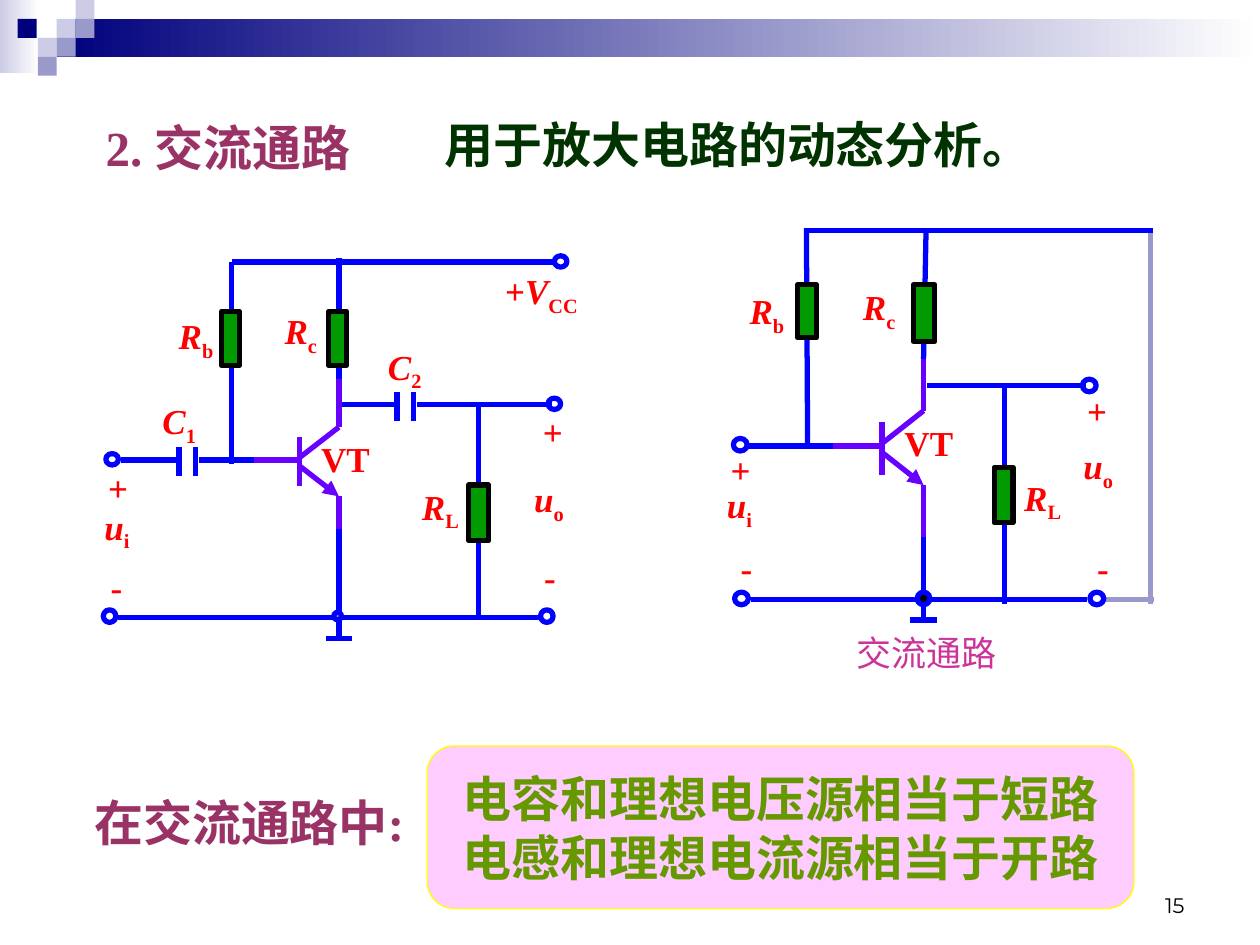
"""Build a slide comparing an amplifier circuit with its AC equivalent."""
from lxml import etree
from pptx import Presentation
from pptx.dml.color import RGBColor
from pptx.enum.shapes import MSO_CONNECTOR, MSO_SHAPE
from pptx.enum.text import MSO_ANCHOR, PP_ALIGN
from pptx.oxml.ns import qn
from pptx.util import Pt

SCALE = 9144
RECT, ROUND, OVAL = MSO_SHAPE.RECTANGLE, MSO_SHAPE.ROUNDED_RECTANGLE, MSO_SHAPE.OVAL
STRAIGHT = MSO_CONNECTOR.STRAIGHT
LEFT, CENTER, RIGHT = PP_ALIGN.LEFT, PP_ALIGN.CENTER, PP_ALIGN.RIGHT
TOP, MIDDLE, BOTTOM = MSO_ANCHOR.TOP, MSO_ANCHOR.MIDDLE, MSO_ANCHOR.BOTTOM
COLORS = {
    "navy": "00007D", "pale": "CCCCE6", "lilac": "9999CC", "white": "FFFFFF",
    "black": "000000", "wire": "0000FF", "device": "6600FF", "resistor": "009900",
    "label": "FF0000", "heading": "993366", "purpose": "003300", "caption": "CC3399",
    "panel": "FFCCFF", "border": "FFFF00", "rule": "669900",
}
SERIF = "Times New Roman"
HEAD = {"name": SERIF, "size": Pt(28), "bold": True}
LABEL = {"name": SERIF, "size": Pt(20), "bold": True}
CAPTION = {"name": SERIF, "size": Pt(20)}
NUMBER = {"name": "Montserrat", "size": Pt(12)}


def rgb(name):
    return RGBColor.from_string(COLORS[name])


class Canvas:
    """Holds the current slide and draws styled elements on it."""

    def __init__(self, s):
        self.s = s

    def shape(self, kind, box, fill=None, line=None, width=3):
        sp = self.s.shapes.add_shape(kind, *(v * SCALE for v in box))
        sp.shadow.inherit = False
        if fill:
            sp.fill.solid()
            sp.fill.fore_color.rgb = rgb(fill)
        else:
            sp.fill.background()
        if line:
            sp.line.color.rgb = rgb(line)
            sp.line.width = Pt(width)
        else:
            sp.line.fill.background()
        return sp

    def fade(self, box, start):
        sp = self.shape(RECT, box)
        sp.fill.gradient()
        sp.fill.gradient_angle = 0
        for stop, color in zip(sp.fill.gradient_stops, (start, "white")):
            stop.color.rgb = rgb(color)

    def line(self, x1, y1, x2, y2, color="wire", arrow=False):
        cn = self.s.shapes.add_connector(STRAIGHT, *(v * SCALE for v in (x1, y1, x2, y2)))
        cn.line.color.rgb = rgb(color)
        cn.line.width = Pt(3)
        if arrow:
            etree.SubElement(cn.line._get_or_add_ln(), qn("a:tailEnd"), type="triangle")
        etree.SubElement(cn._element.spPr, qn("a:effectLst"))

    def run(self, p, text, fmt, color, sub=False):
        r = p.add_run()
        r.text = text
        for key, value in fmt.items():
            setattr(r.font, key, value)
        r.font.color.rgb = rgb(color)
        if sub:
            r._r.get_or_add_rPr().set("baseline", "-25000")

    def fill_text(self, sp, lines, fmt, color, align=LEFT, anchor=TOP, wrap=True):
        tf = sp.text_frame
        tf.word_wrap = wrap
        tf.vertical_anchor = anchor
        for i, text in enumerate(lines):
            p = tf.add_paragraph() if i else tf.paragraphs[0]
            p.alignment = align
            self.run(p, text, fmt, color)

    def text(self, box, text, fmt, color, **layout):
        sp = self.s.shapes.add_textbox(*(v * SCALE for v in box))
        self.fill_text(sp, [text], fmt, color, **layout)

    def label(self, x, y, w, plain="", var="", sub=""):
        box = (x, y, w, 48 if sub else 44)
        sp = self.s.shapes.add_textbox(*(v * SCALE for v in box))
        tf = sp.text_frame
        tf.word_wrap = True
        p = tf.paragraphs[0]
        for text, italic, low in ((plain, False, False), (var, True, False), (sub, False, True)):
            if text:
                self.run(p, text, {**LABEL, "italic": italic}, "label", low)

    def resistor(self, *box):
        self.shape(RECT, box, "resistor", "black")

    def terminal(self, x, y, w=10, h=10, fill=None):
        self.shape(OVAL, (x, y, w, h), fill, "wire")

    def capacitor(self, x, y):
        for plate in (x, x + 13):
            self.line(plate, y, plate, y + 23)

    def transistor(self, x, y, k=1.0):
        parts = ((31, 29, 31, 67), (0, -18, 0, 21), (0, -2, 31, -26),
                 (31, -26, 31, -64), (0, 5, 31, 29), (0, 0, -39, 0))
        for i, (x1, y1, x2, y2) in enumerate(parts):
            self.line(x + round(x1 * k), y + round(y1 * k),
                      x + round(x2 * k), y + round(y2 * k), "device", arrow=i == 4)


def draw_banner(c):
    c.fade((0, 0, 31, 58), "pale")
    c.fade((45, 15, 955, 30), "navy")
    for x, y, color in ((45, 15, "pale"), (60, 0, "pale"), (60, 15, "lilac"),
                        (30, 30, "pale"), (14, 15, "navy"), (45, 30, "lilac"),
                        (30, 45, "lilac")):
        c.shape(RECT, (x, y, 15, 15), color)


def draw_text(c):
    c.text((717, 683, 233, 50), "15", NUMBER, "black", align=RIGHT, anchor=BOTTOM)
    panel = c.shape(ROUND, (339, 592, 561, 129), "panel", "border", 0.75)
    c.fill_text(panel, ["电容和理想电压源相当于短路", "电感和理想电流源相当于开路"],
                HEAD, "rule", align=CENTER, anchor=MIDDLE, wrap=False)
    c.text((74, 88, 263, 57), "2. 交流通路", HEAD, "heading")
    c.text((343, 86, 512, 57), "用于放大电路的动态分析。", HEAD, "purpose")
    c.text((65, 624, 273, 57), "在交流通路中:", HEAD, "heading")
    c.text((670, 496, 179, 44), "交流通路", CAPTION, "caption")


def draw_amplifier(c):
    for wire in ((380, 321, 380, 491), (184, 208, 184, 368), (269, 303, 269, 205),
                 (331, 321, 438, 321), (271, 321, 313, 321), (184, 208, 442, 208),
                 (94, 490, 430, 490), (142, 365, 96, 365)):
        c.line(*wire)
    c.transistor(238, 365)
    for wire in ((158, 365, 202, 365), (269, 420, 269, 506), (259, 507, 279, 507)):
        c.line(*wire)
    c.capacitor(142, 355)
    c.capacitor(315, 311)
    for box in ((176, 247, 14, 43), (261, 247, 14, 43), (372, 385, 16, 44)):
        c.resistor(*box)
    for x, y, h in ((435, 316, 9), (440, 203, 9), (82, 484, 10), (429, 484, 10), (84, 360, 9)):
        c.terminal(x, y, h=h)
    c.terminal(265, 486, 6, 6, "lilac")
    for label in ((132, 245, 80, "", "R", "b"), (216, 241, 88, "", "R", "c"),
                  (245, 342, 85, "VT"), (76, 365, 44, "+"), (78, 444, 53, "-"),
                  (73, 396, 54, "", "u", "i"), (325, 380, 58, "", "R", "L"),
                  (119, 312, 55, "", "C", "1"), (298, 269, 65, "", "C", "2"),
                  (391, 209, 95, "+", "V", "CC"), (421, 321, 44, "+"),
                  (422, 436, 53, "-"), (414, 374, 60, "", "u", "o")):
        c.label(*label)


def draw_ac_path(c):
    for wire in ((640, 181, 641, 356), (797, 305, 797, 479), (736, 306, 862, 306),
                 (596, 476, 863, 476), (733, 409, 733, 492), (722, 492, 744, 492)):
        c.line(*wire)
    c.transistor(700, 354, 1.08)
    for wire in ((594, 354, 661, 354), (733, 285, 735, 181),
                 (913, 184, 913, 479, "lilac"), (877, 476, 916, 476, "lilac"),
                 (641, 183, 915, 183)):
        c.line(*wire)
    for box in ((633, 226, 15, 42), (725, 226, 17, 45), (789, 371, 15, 44)):
        c.resistor(*box)
    for x, y in ((859, 301), (583, 470), (865, 470), (582, 348)):
        c.terminal(x, y, w=11)
    c.terminal(728, 470, fill="black")
    for label in ((585, 225, 61, "", "R", "b"), (675, 222, 61, "", "R", "c"),
                  (708, 330, 79, "VT"), (570, 351, 48, "+"), (578, 429, 57, "-"),
                  (567, 379, 83, "", "u", "i"), (803, 373, 75, "", "R", "L"),
                  (853, 304, 48, "+"), (861, 429, 57, "-"), (850, 348, 83, "", "u", "o")):
        c.label(*label)


def main():
    prs = Presentation()
    prs.slide_width, prs.slide_height = 1000 * SCALE, 750 * SCALE
    c = Canvas(prs.slides.add_slide(prs.slide_layouts[6]))
    for draw in (draw_banner, draw_text, draw_amplifier, draw_ac_path):
        draw(c)
    prs.save("out.pptx")


if __name__ == "__main__":
    main()
